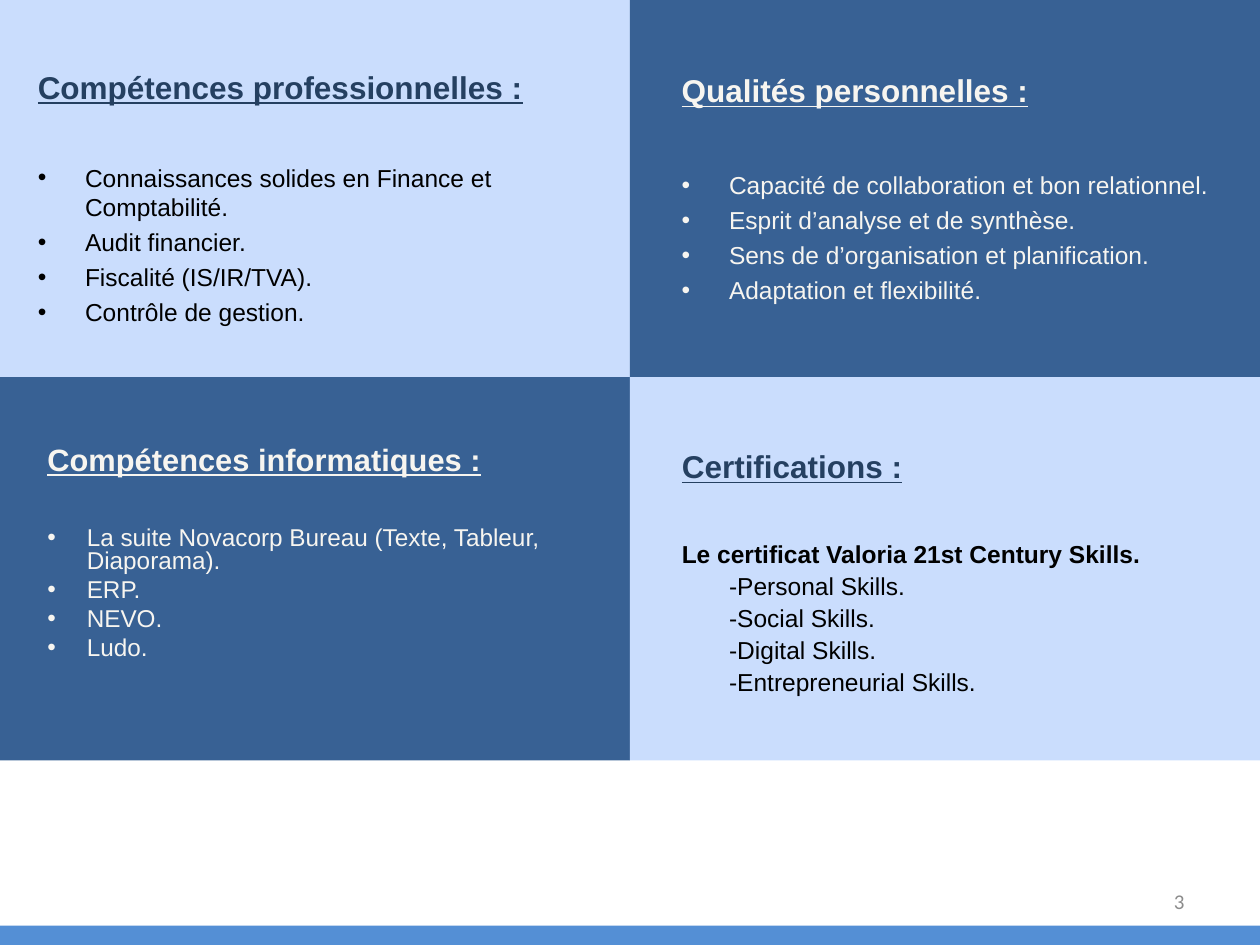
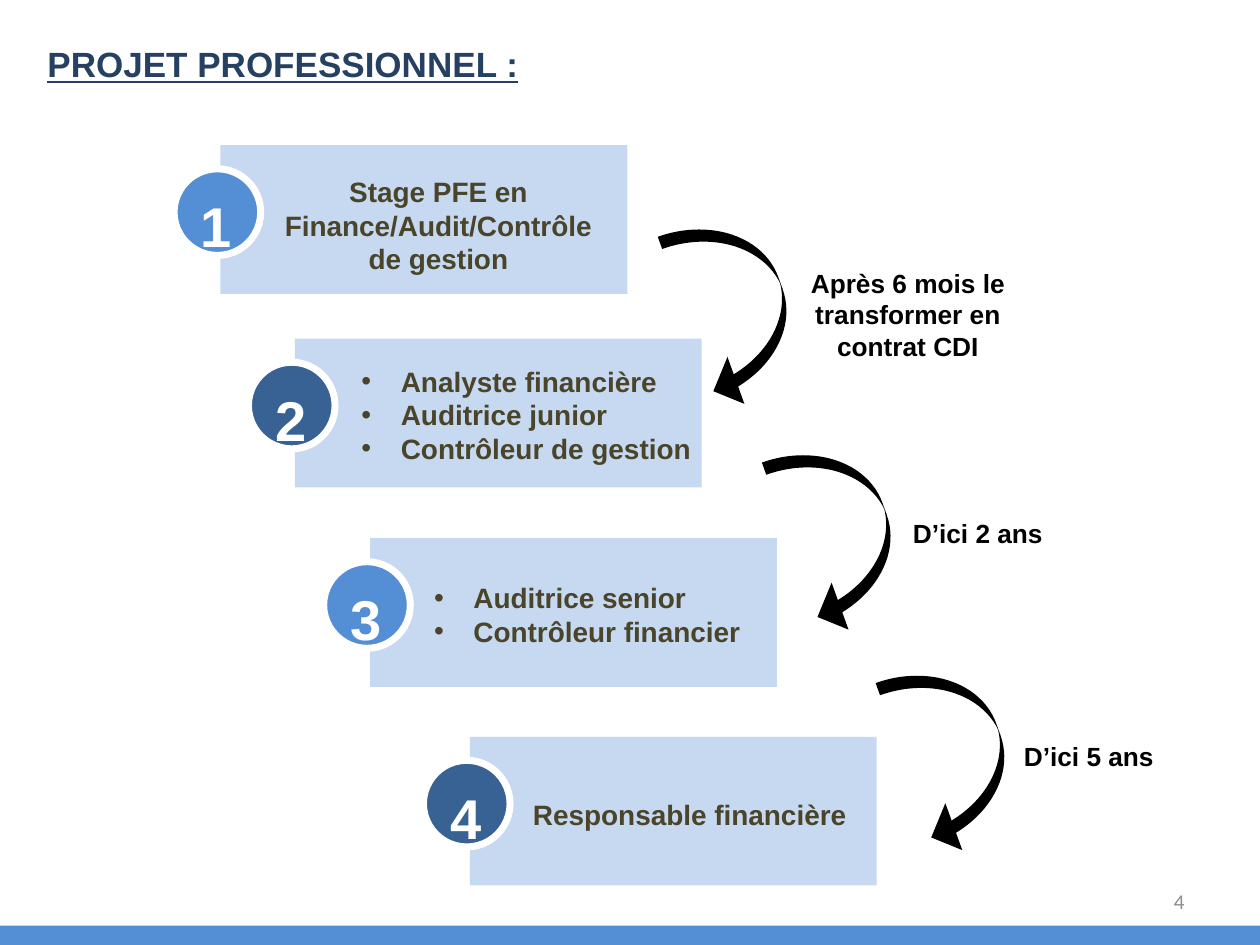
from dataclasses import dataclass

from lxml.etree import SubElement
from pptx import Presentation
from pptx.dml.color import RGBColor
from pptx.enum.shapes import MSO_SHAPE as Shape
from pptx.enum.text import MSO_ANCHOR as Anchor, PP_ALIGN as Align
from pptx.oxml.ns import qn
from pptx.util import Pt


@dataclass(frozen=True)
class Theme:
    """Colours, fonts and type sizes used on both slides."""
    pale: str = "CADDFD"
    deep: str = "386194"
    accent: str = "548FD5"
    card: str = "C6D9F1"
    navy: str = "254061"
    cream: str = "F7F5F0"
    olive: str = "4A452A"
    grey: str = "8C8C8C"
    black: str = "000000"
    white: str = "FFFFFF"
    font: str = "Arial"
    footer_font: str = "Calibri"
    title: float = 20
    heading: float = 18
    body: float = 14
    step: float = 16
    delay: float = 15
    number: float = 32
    footer: float = 12


THEME = Theme()
WIDTH, HEIGHT = 720, 540
BAND_HEIGHT = 11
QUARTER = (360, 219)
LOWER_TOP = 215.5
CARD = (232.5, 85)
ARROW = (57, 108)


@dataclass(frozen=True)
class Line:
    """One paragraph; fields left at None take the format of its text box."""
    text: str
    size: float = None
    color: str = None
    bold: bool = None
    underline: bool = False
    bullet: bool = False
    left: float = 0
    spacing: float = None
    before: float = 0


def add_text(slide, box, lines, size=THEME.body, color=THEME.black, bold=False,
             font=THEME.font, align=Align.LEFT, anchor=Anchor.TOP, inset=True):
    """Add a wrapped text box holding a string or a list of Line objects."""
    frame = slide.shapes.add_textbox(*map(Pt, box)).text_frame
    frame.word_wrap = True
    frame.vertical_anchor = anchor
    if not inset:
        frame.margin_left = frame.margin_right = 0
        frame.margin_top = frame.margin_bottom = 0
    if isinstance(lines, str):
        lines = [Line(lines)]
    for index, line in enumerate(lines):
        paragraph = frame.add_paragraph() if index else frame.paragraphs[0]
        paragraph.alignment = align
        paragraph.space_before = Pt(line.before)
        if line.spacing:
            paragraph.line_spacing = line.spacing
        set_indent(paragraph, line)
        run = paragraph.add_run()
        run.text = line.text
        run.font.name = font
        run.font.size = Pt(line.size or size)
        run.font.bold = bold if line.bold is None else line.bold
        run.font.underline = line.underline
        run.font.color.rgb = RGBColor.from_string(line.color or color)


def set_indent(paragraph, line):
    """Set the left indent and, for a bullet, the hanging mark."""
    properties = paragraph._p.get_or_add_pPr()
    properties.set("marL", str(Pt(line.left)))
    properties.set("indent", str(-Pt(line.left) if line.bullet else 0))
    if line.bullet:
        SubElement(properties, qn("a:buFont")).set("typeface", THEME.font)
        SubElement(properties, qn("a:buChar")).set("char", "•")


def add_block(slide, kind, box, fill, outline=None):
    """Add a flat preset shape, with a thick outline if a colour is given."""
    shape = slide.shapes.add_shape(kind, *map(Pt, box))
    shape.shadow.inherit = False
    shape.fill.solid()
    shape.fill.fore_color.rgb = RGBColor.from_string(fill)
    if outline:
        shape.line.color.rgb = RGBColor.from_string(outline)
        shape.line.width = Pt(4)
    else:
        shape.line.fill.background()
    return shape


def add_slide(presentation, number):
    """Add a blank slide with the bottom band and its page number."""
    slide = presentation.slides.add_slide(presentation.slide_layouts[6])
    add_block(slide, Shape.RECTANGLE,
              (0, HEIGHT - BAND_HEIGHT, WIDTH, BAND_HEIGHT), THEME.accent)
    add_text(slide, (516, 500.5, 168, 28.5), str(number), size=THEME.footer,
             color=THEME.grey, font=THEME.footer_font, align=Align.RIGHT,
             anchor=Anchor.MIDDLE)
    return slide


def bullets(texts, left=27, **style):
    """Turn texts into bulleted lines of one style."""
    return [Line(text, bullet=True, left=left, **style) for text in texts]


def add_quarter(slide, origin, text_box, heading, lines, dark=False,
                heading_size=THEME.heading, heading_spacing=1.4, gap=29.5,
                size=THEME.body, spacing=None):
    """Fill a quarter; text_box is relative to the quarter's origin."""
    left, top = origin
    add_block(slide, Shape.RECTANGLE, (left, top, *QUARTER),
              THEME.deep if dark else THEME.pale)
    title = Line(heading, size=heading_size, bold=True, underline=True,
                 color=THEME.cream if dark else THEME.navy,
                 spacing=heading_spacing, before=4)
    content = [Line(line.text, bold=line.bold, bullet=line.bullet,
                    left=line.left, spacing=spacing,
                    before=3.2 + (0 if index else gap))
               for index, line in enumerate(lines)]
    dx, dy, width, height = text_box
    add_text(slide, (left + dx, top + dy, width, height), [title, *content],
             size=size, color=THEME.cream if dark else THEME.black)


def add_step(slide, number, origin, text_box, lines, align=Align.LEFT):
    """Draw a numbered card; text_box is relative to the card's origin."""
    left, top = origin
    add_block(slide, Shape.RECTANGLE, (left, top, *CARD), THEME.card)
    add_block(slide, Shape.OVAL, (left - 26.5, top + 13.5, 49.5, 49.5),
              THEME.accent if number % 2 else THEME.deep, THEME.white)
    add_text(slide, (left - 26, top + 26.5, 47.5, 32.5), str(number),
             size=THEME.number, color=THEME.white, bold=True,
             align=Align.CENTER, inset=False)
    dx, dy, width, height = text_box
    add_text(slide, (left + dx, top + dy, width, height), lines,
             size=THEME.step, color=THEME.olive, bold=True, align=align,
             anchor=Anchor.MIDDLE)


def add_transition(slide, origin, label_box, label):
    """Draw a curved arrow; label_box is relative to the arrow's origin."""
    left, top = origin
    arrow = add_block(slide, Shape.CURVED_LEFT_ARROW, (left, top, *ARROW),
                      THEME.black)
    arrow.rotation = 340.2
    arrow.adjustments[0] = 0.13
    dx, dy, width, height = label_box
    add_text(slide, (left + dx, top + dy, width, height), label,
             size=THEME.delay, bold=True, align=Align.CENTER,
             anchor=Anchor.MIDDLE)


def build_skills(presentation):
    """Build the slide of four quarters."""
    slide = add_slide(presentation, 3)
    middle = QUARTER[0]
    add_quarter(slide, (0, 0), (14.5, 26.5, 351.5, 164),
                "Compétences professionnelles :",
                bullets(["Connaissances solides en Finance et Comptabilité.",
                         "Audit financier.", "Fiscalité (IS/IR/TVA).",
                         "Contrôle de gestion."]))
    add_quarter(slide, (middle, 0), (22.5, 26.5, 323.5, 153.5),
                "Qualités personnelles :",
                bullets(["Capacité de collaboration et bon relationnel.",
                         "Esprit d’analyse et de synthèse.",
                         "Sens de d’organisation et planification.",
                         "Adaptation et flexibilité."]),
                dark=True, heading_spacing=1.5, gap=31.5)
    add_quarter(slide, (0, LOWER_TOP), (20, 26.5, 340, 153.5),
                "Compétences informatiques :",
                bullets(["La suite Novacorp Bureau (Texte, Tableur, "
                         "Diaporama).", "ERP.", "NEVO.", "Ludo."], left=22.5),
                dark=True, heading_size=17.6, heading_spacing=1.3, gap=25.5,
                size=13.9, spacing=0.8)
    skills = ["Personal", "Social", "Digital", "Entrepreneurial"]
    add_quarter(slide, (middle, LOWER_TOP), (22.5, 28, 319.5, 166.5),
                "Certifications :",
                [Line("Le certificat Valoria 21st Century Skills.", bold=True),
                 *(Line(f"-{skill} Skills.", left=27) for skill in skills)],
                spacing=0.9)


def build_project(presentation):
    """Build the slide of four career steps joined by arrows."""
    slide = add_slide(presentation, 4)
    title = Line("PROJET PROFESSIONNEL :", underline=True, before=4.6)
    add_text(slide, (20, 21, 680.5, 493), [title], size=THEME.title,
             color=THEME.navy, bold=True)
    add_step(slide, 1, (126, 83), (28, 6, 193, 79),
             "Stage PFE en Finance/Audit/Contrôle de gestion", Align.CENTER)
    add_step(slide, 2, (168.5, 193.5), (31, 4, 215.5, 79),
             bullets(["Analyste financière", "Auditrice junior",
                      "Contrôleur de gestion"], left=22.5))
    add_step(slide, 3, (211.5, 307.5), (29.5, 4, 215.5, 79),
             bullets(["Auditrice senior", "Contrôleur financier"], left=22.5))
    add_step(slide, 4, (268.5, 421), (29, 2, 215.5, 85),
             "Responsable financière")
    add_transition(slide, (392.5, 122.5), (52.5, 28.5, 147.5, 57),
                   "Après 6 mois le transformer en contrat CDI")
    add_transition(slide, (452, 251.5), (61.5, 36, 90.5, 34), "D’ici 2 ans")
    add_transition(slide, (517, 377.5), (58.5, 34.5, 93.5, 39.5),
                   "D’ici 5 ans")


def main():
    """Build both slides and save the file."""
    presentation = Presentation()
    presentation.slide_width, presentation.slide_height = Pt(WIDTH), Pt(HEIGHT)
    build_skills(presentation)
    build_project(presentation)
    presentation.save("out.pptx")


main()
